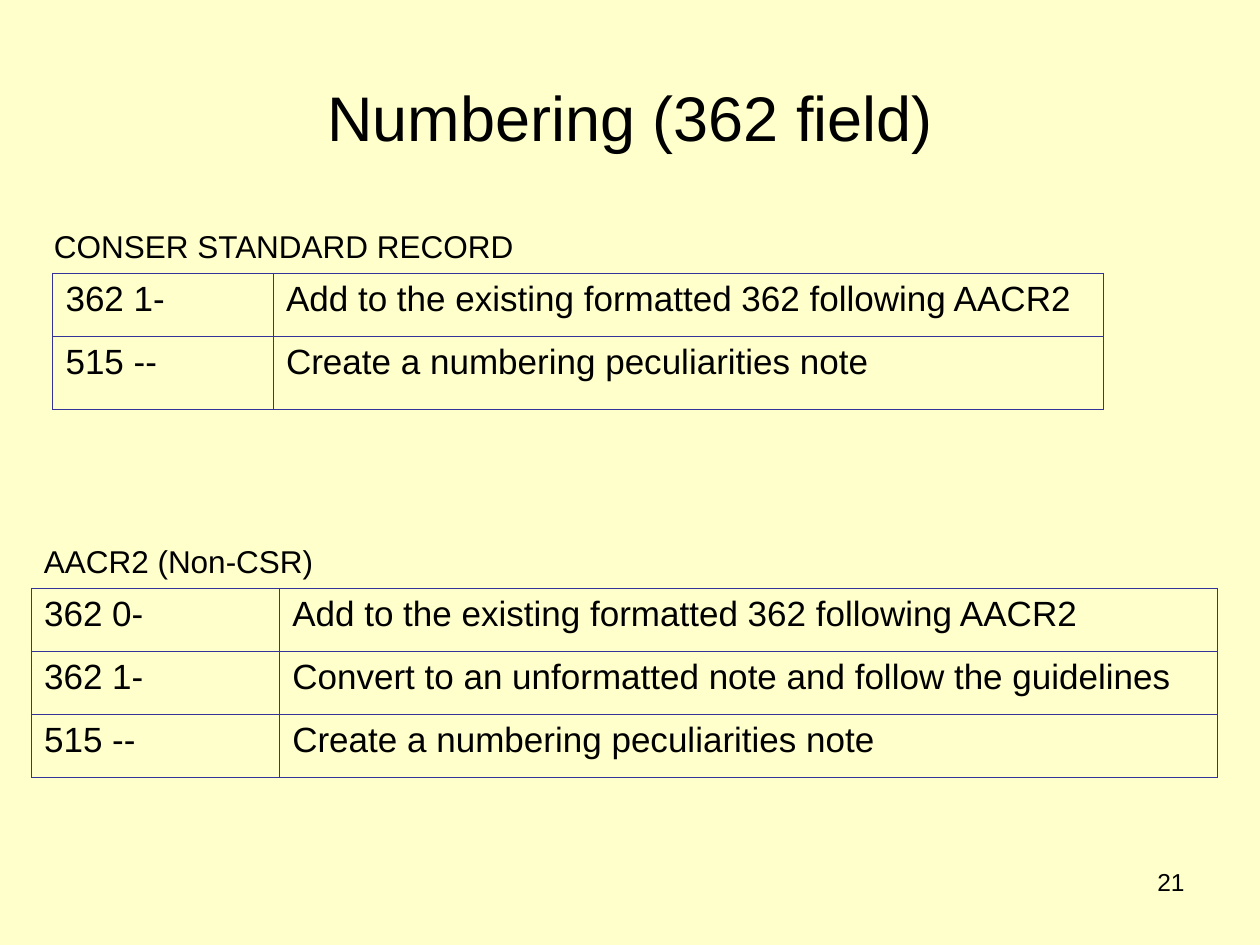
from lxml.etree import SubElement
from pptx import Presentation
from pptx.dml.color import RGBColor as RGB
from pptx.enum.text import MSO_ANCHOR as Anchor, PP_ALIGN as Align
from pptx.oxml.ns import qn
from pptx.util import Inches, Pt

COLORS = {"background": "FFFFCC", "text": "000000", "border": "333399"}


def set_text(tf, text, size, align=Align.LEFT):
    tf.text = text
    p = tf.paragraphs[0]
    p.alignment = align
    p.font.name = "Arial"
    p.font.size = Pt(size)
    p.font.color.rgb = RGB.from_string(COLORS["text"])


def add_title(s, text):
    title = s.shapes.title
    title.left, title.top = Inches(0.5), Inches(0.3)
    title.width, title.height = Inches(9), Inches(1.25)
    title.text_frame.vertical_anchor = Anchor.MIDDLE
    set_text(title.text_frame, text, 36, Align.CENTER)


def add_label(s, text, box, size, align=Align.LEFT):
    tf = s.shapes.add_textbox(*map(Inches, box)).text_frame
    tf.word_wrap = True
    set_text(tf, text, size, align)


def set_borders(cell):
    tcPr = cell._tc.get_or_add_tcPr()
    for side in ("a:lnL", "a:lnR", "a:lnT", "a:lnB"):
        ln = SubElement(tcPr, qn(side), w=str(Pt(0.75)))
        fill = SubElement(ln, qn("a:solidFill"))
        SubElement(fill, qn("a:srgbClr"), val=COLORS["border"])


def add_grid(s, left, top, widths, heights, rows):
    box = (left, top, sum(widths), sum(heights))
    table = s.shapes.add_table(len(rows), len(widths), *map(Inches, box)).table
    table.first_row = table.horz_banding = False
    for column, width in zip(table.columns, widths):
        column.width = Inches(width)
    for row, height, texts in zip(table.rows, heights, rows):
        row.height = Inches(height)
        for cell, text in zip(row.cells, texts):
            set_text(cell.text_frame, text, 20)
            set_borders(cell)
            cell.fill.background()


def main():
    """Build the slide on numbering in the 362 field."""
    prs = Presentation()
    prs.slide_width, prs.slide_height = Inches(10), Inches(7.5)
    s = prs.slides.add_slide(prs.slide_layouts[5])
    s.background.fill.solid()
    s.background.fill.fore_color.rgb = RGB.from_string(COLORS["background"])

    add_existing = "Add to the existing formatted 362 following AACR2"
    peculiarities = ("515 --", "Create a numbering peculiarities note")
    convert = "Convert to an unformatted note and follow the guidelines"

    add_title(s, "Numbering (362 field)")
    add_grid(s, 0.25, 4.67, (1.97, 7.44), (0.5, 0.5, 0.5),
             [("362 0-", add_existing), ("362 1-", convert), peculiarities])
    add_grid(s, 0.42, 2.17, (1.75, 6.59), (0.5, 0.58),
             [("362 1-", add_existing), peculiarities])
    add_label(s, "CONSER STANDARD RECORD", (0.33, 1.75, 5.42, 0.4), 18)
    add_label(s, "AACR2 (Non-CSR)", (0.25, 4.25, 4.33, 0.4), 18)
    add_label(s, "21", (7.17, 6.83, 2.33, 0.52), 14, Align.RIGHT)
    prs.save("out.pptx")


if __name__ == "__main__":
    main()
